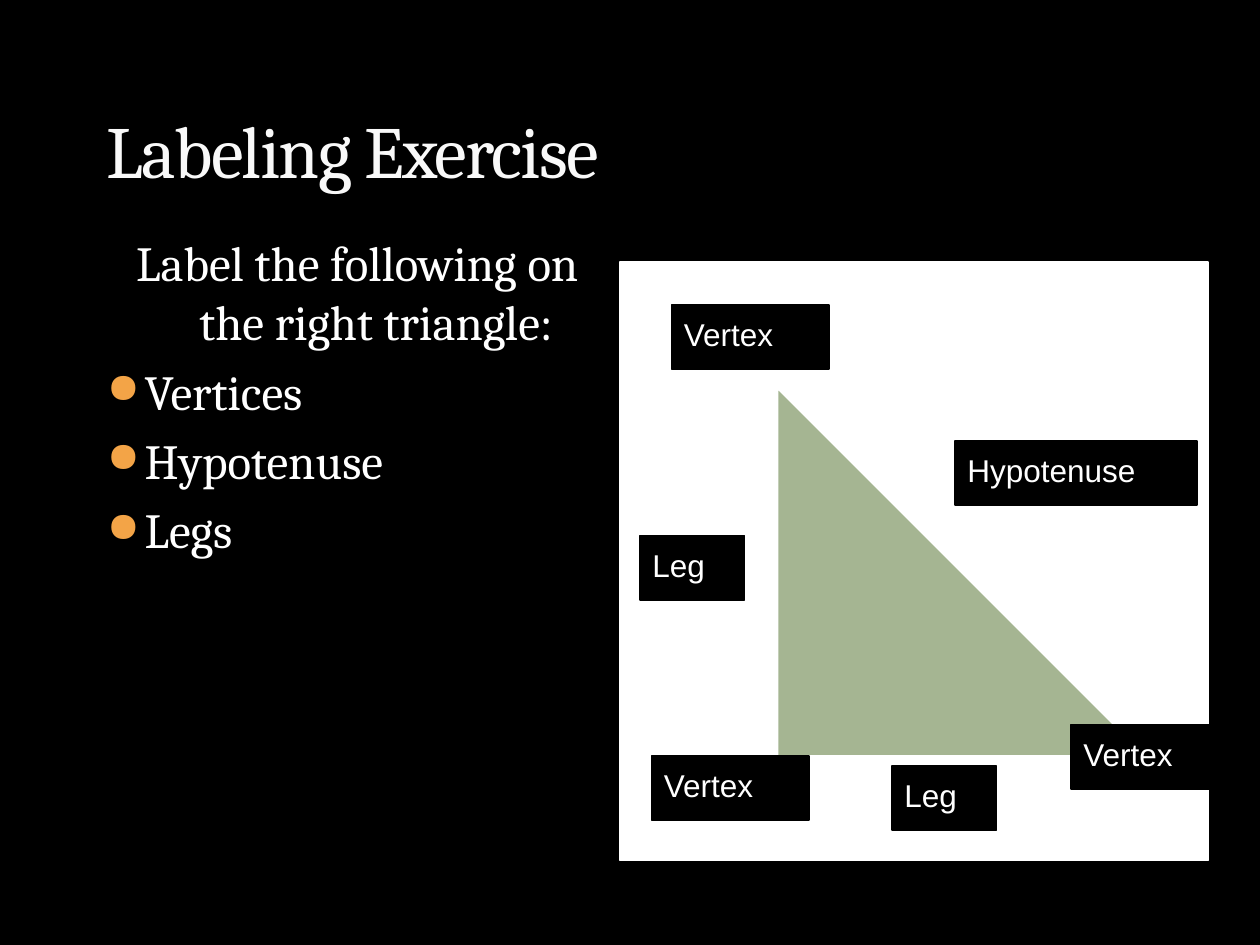
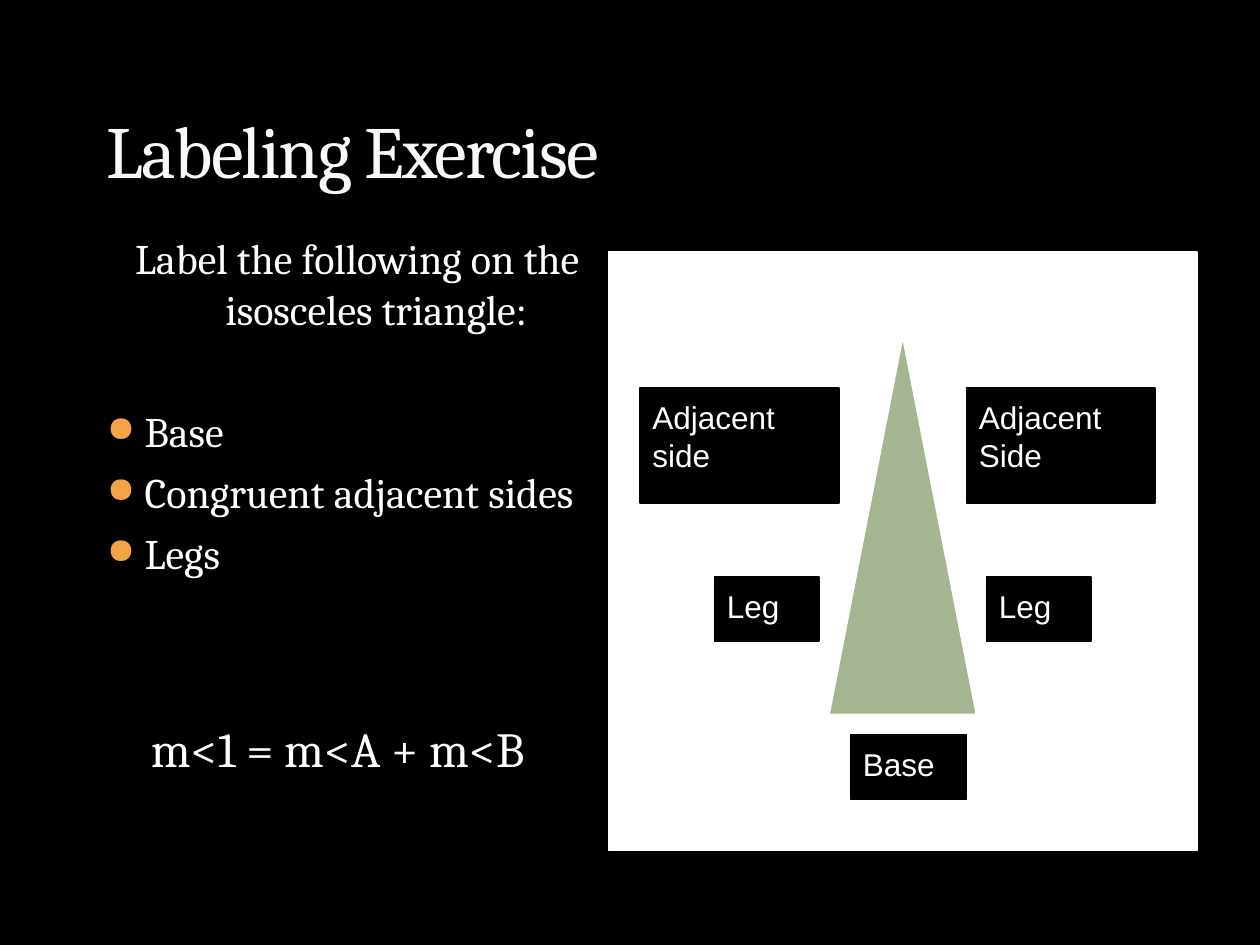
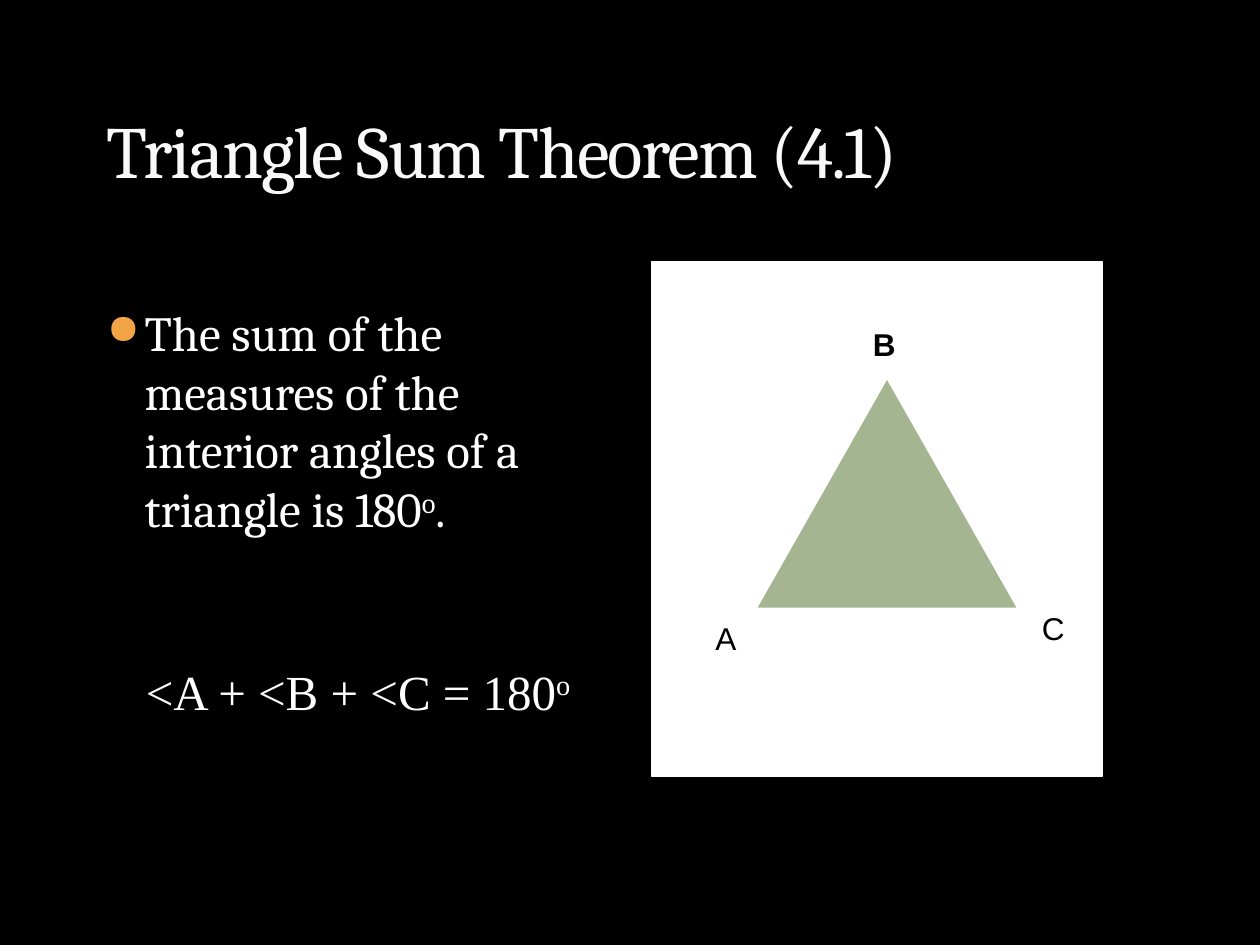
from lxml import etree
from pptx import Presentation
from pptx import util as u
from pptx.dml.color import RGBColor
from pptx.enum import shapes, text
from pptx.oxml import ns

HEX = {"black": "000000", "white": "FFFFFF", "title": "F9F9F9",
       "green": "A5B592", "bullet": "F3A447"}
KIND = {"rect": shapes.MSO_SHAPE.RECTANGLE,
        "right": shapes.MSO_SHAPE.RIGHT_TRIANGLE,
        "iso": shapes.MSO_SHAPE.ISOSCELES_TRIANGLE}

# Text formats
HEAD = {"name": "Cambria", "size": 42, "color": "title"}
BODY = {"name": "Cambria", "size": 28, "color": "white"}
SMALL = {**BODY, "size": 24}
SUM = {**BODY, "name": "Times New Roman"}
TAG = {"name": "Arial", "size": 18, "color": "white"}
MARK = {**TAG, "color": "black"}

# Paragraph formats: margin and first-line indent in inches, gap in points
LEAD = {"margin": 0.3, "indent": -0.3, "align": text.PP_ALIGN.CENTER}
ITEM = {"margin": 0.3, "indent": -0.3, "gap": 6, "bullet": True}
FIRST = {**ITEM, "gap": 0}
PLAIN = {}

# Panel and triangle: kind, box. Tags: words, box. Body: words, font, layout.
# A "^" in the words makes the next letter superscript.
SLIDES = [
    {"title": "Labeling Exercise",
     "body": [("Label the following on the right triangle:", BODY, LEAD),
              ("Vertices", BODY, ITEM),
              ("Hypotenuse", BODY, ITEM),
              ("Legs", BODY, ITEM)],
     "panel": (4.92, 2.08, 4.67, 4.75),
     "figure": ("right", (6.17, 3.08, 2.92, 2.92)),
     "tags": [("Vertex", (5.33, 2.42, 1.25, 0.51)),
              ("Vertex", (8.5, 5.75, 1.25, 0.51)),
              ("Vertex", (5.17, 6, 1.25, 0.51)),
              ("Hypotenuse", (7.58, 3.5, 1.92, 0.51)),
              ("Leg", (5.08, 4.25, 0.83, 0.51)),
              ("Leg", (7.08, 6.08, 0.83, 0.51))]},
    {"title": "Labeling Exercise",
     "body": [("Label the following on the isosceles triangle:", SMALL, LEAD),
              ("Base", SMALL, {**ITEM, "gap": 41}),
              ("Congruent adjacent sides", SMALL, ITEM),
              ("Legs", SMALL, ITEM),
              ("m<1 = m<A + m<B", BODY, {"margin": 0.35, "gap": 80.5})],
     "panel": (4.83, 2, 4.67, 4.75),
     "figure": ("iso", (6.58, 2.67, 1.17, 3)),
     "tags": [("Adjacent side", (5.08, 3.08, 1.58, 0.91)),
              ("Base", (6.75, 5.83, 0.92, 0.51)),
              ("Adjacent Side", (7.67, 3.08, 1.5, 0.91)),
              ("Leg", (5.67, 4.58, 0.83, 0.51)),
              ("Leg", (7.83, 4.58, 0.83, 0.51))]},
    {"title": "Triangle Sum Theorem (4.1)",
     "top": 2.35,
     "body": [("The sum of the measures of the interior angles "
               "of a triangle is 180^o.", BODY, FIRST)],
     "panel": (5.17, 2.08, 3.58, 4.08),
     "figure": ("iso", (6, 3, 2.08, 1.83)),
     "marks": [("A", (5.58, 4.83, 0.67, 0.5), MARK),
               ("B", (6.83, 2.5, 0.5, 0.5), {**MARK, "bold": True}),
               ("C", (8.17, 4.75, 0.5, 0.5), MARK),
               ("<A + <B + <C = 180^o", (1.06, 5.17, 3.94, 0.57), SUM)]},
]


def paint(fmt, name):
    fmt.rgb = RGBColor.from_string(HEX[name])


def add_run(para, words, form):
    run = para.add_run()
    run.text = words
    for key, val in form.items():
        if key == "color":
            paint(run.font.color, val)
        else:
            setattr(run.font, key, u.Pt(val) if key == "size" else val)
    return run


def lay_out(para, lay):
    prop = para._p.get_or_add_pPr()
    for key, attr in (("margin", "marL"), ("indent", "indent")):
        prop.set(attr, str(u.Inches(lay.get(key, 0))))
    para.alignment = lay.get("align", text.PP_ALIGN.LEFT)
    para.space_before = u.Pt(lay.get("gap", 0))
    if lay.get("bullet"):
        tint = etree.SubElement(prop, ns.qn("a:buClr"))
        etree.SubElement(tint, ns.qn("a:srgbClr"), val=HEX["bullet"])
        etree.SubElement(prop, ns.qn("a:buSzPct"), val="85000")
        etree.SubElement(prop, ns.qn("a:buChar"), char="●")


def write(shape, rows, anchor=text.MSO_ANCHOR.TOP, inset=0.05):
    frame = shape.text_frame
    frame.word_wrap = True
    frame.vertical_anchor = anchor
    frame.margin_top = u.Inches(inset)
    for i, (words, form, lay) in enumerate(rows):
        para = frame.add_paragraph() if i else frame.paragraphs[0]
        lay_out(para, lay)
        base, *raised = words.split("^")
        add_run(para, base, form)
        for part in raised:
            sup = add_run(para, part[0], form)
            sup.font._element.set("baseline", "30000")
            if part[1:]:
                add_run(para, part[1:], form)


def add_box(slide, box):
    return slide.shapes.add_textbox(*map(u.Inches, box))


def add_form(slide, kind, box, fill, line):
    shape = slide.shapes.add_shape(KIND[kind], *map(u.Inches, box))
    shape.shadow.inherit = False
    shape.fill.solid()
    paint(shape.fill.fore_color, fill)
    paint(shape.line.color, line)
    shape.line.width = u.Pt(1)
    return shape


def add_slide(deck, data):
    slide = deck.slides.add_slide(deck.slide_layouts[6])
    slide.background.fill.solid()
    paint(slide.background.fill.fore_color, "black")

    # Title with tight letter spacing
    head = add_box(slide, (0.75, 0.25, 8.5, 1.33))
    write(head, [(data["title"], HEAD, PLAIN)], text.MSO_ANCHOR.BOTTOM)
    head.text_frame.paragraphs[0].runs[0].font._element.set("spc", "-100")

    # Body
    top = data.get("top", 1.8)
    write(add_box(slide, (0.75, top, 4.17, 6.67 - top)), data["body"])

    # Diagram
    add_form(slide, "rect", data["panel"], "white", "white")
    kind, box = data["figure"]
    add_form(slide, kind, box, "green", "white")
    for words, box in data.get("tags", []):
        tag = add_form(slide, "rect", box, "black", "black")
        write(tag, [(words, TAG, PLAIN)], inset=0.08)
    for words, box, form in data.get("marks", []):
        write(add_box(slide, box), [(words, form, PLAIN)], inset=0.08)


def main():
    deck = Presentation()
    deck.slide_width, deck.slide_height = u.Inches(10), u.Inches(7.5)
    for data in SLIDES:
        add_slide(deck, data)
    deck.save("out.pptx")


if __name__ == "__main__":
    main()
